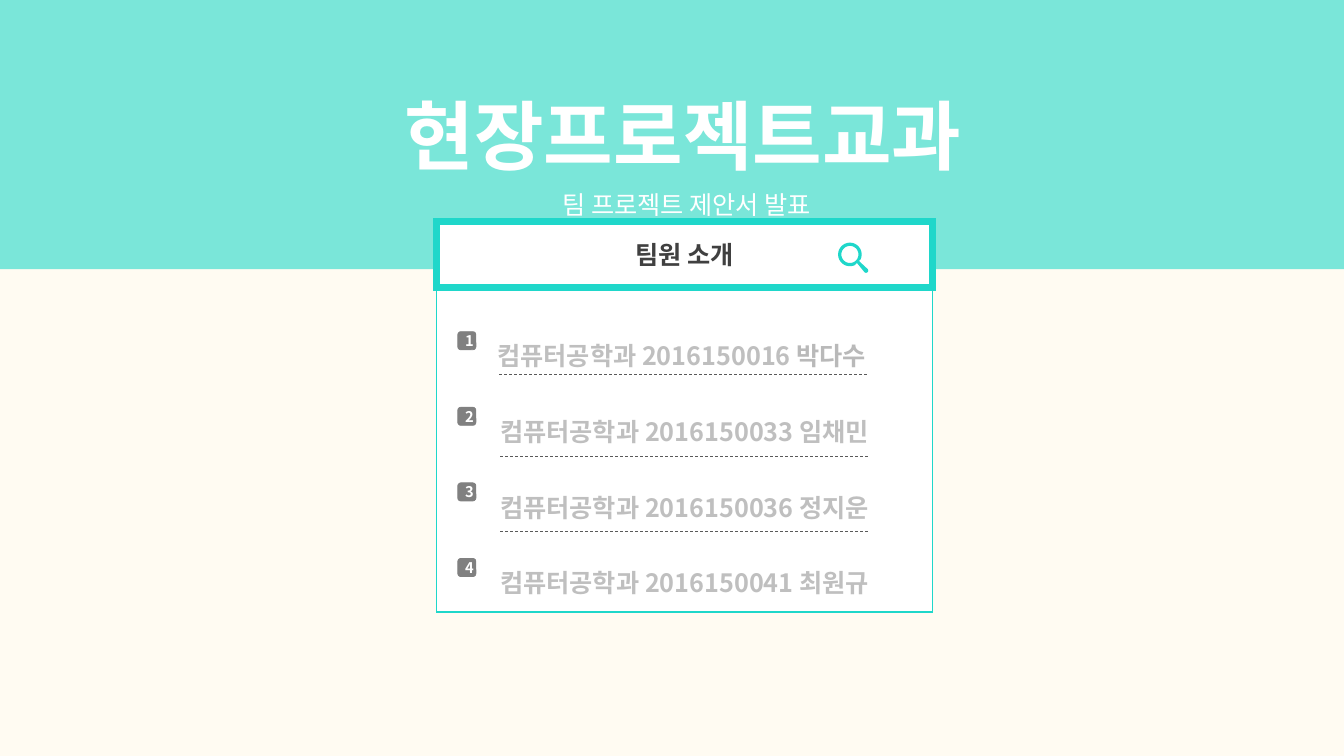
"""Build the cover slide that introduces the project team."""
from dataclasses import dataclass
from math import cos, radians, sin

from pptx import Presentation
from pptx import util as u
from pptx.dml.color import RGBColor
from pptx.enum import dml, shapes, text
from pptx.oxml import ns, xmlchemy

FACE = "Noto Sans CJK KR"
CREAM = RGBColor(0xFF, 0xFB, 0xF2)
MINT = RGBColor(0x7A, 0xE6, 0xD9)
TEAL = RGBColor(0x1F, 0xD7, 0xCA)
WHITE = RGBColor(0xFF, 0xFF, 0xFF)
DARK = RGBColor(0x40, 0x40, 0x40)
SLATE = RGBColor(0x59, 0x59, 0x59)
GRAY = RGBColor(0x80, 0x80, 0x80)
PALE = RGBColor(0xBF, 0xBF, 0xBF)
DIM = RGBColor(0xB9, 0xB9, 0xB9)
RECT = shapes.MSO_SHAPE.RECTANGLE
ROUND = shapes.MSO_SHAPE.ROUNDED_RECTANGLE


@dataclass(frozen=True)
class Run:
    words: str
    size: float
    color: RGBColor
    bold: bool = True


@dataclass(frozen=True)
class Box:
    kind: shapes.MSO_SHAPE
    left: float
    top: float
    width: float
    height: float
    fill: RGBColor
    line: RGBColor
    weight: float


@dataclass(frozen=True)
class Rule:
    left: float
    right: float
    top: float


PANEL = Box(RECT, 4.33, 2.88, 4.92, 3.19, WHITE, TEAL, 1)
SEARCH = Box(RECT, 4.33, 2.2, 4.92, 0.65, WHITE, TEAL, 4.75)
BADGES = [Box(ROUND, 4.54, 3.29 + 0.75 * i, 0.18, 0.18, GRAY, GRAY, 0.5)
          for i in range(4)]
RULES = [Rule(4.95, 8.62, 3.71), Rule(4.96, 8.62, 4.53), Rule(4.96, 8.62, 5.27)]
TEAM = [
    [Run("컴퓨터공학과 2016150016 ", 18, PALE), Run("박다수 ", 18, DIM)],
    [Run("컴퓨터공학과 2016150033 임채민", 18, PALE)],
    [Run("컴퓨터공학과 2016150036 정지운", 18, PALE)],
    [Run("컴퓨터공학과 2016150041 최원규", 18, PALE)],
]


def write(frame, lines: list[list[Run]], anchor, space: float = 1) -> None:
    """Fill a text frame with centred paragraphs, run by run."""
    frame.vertical_anchor = anchor
    for i, line in enumerate(lines):
        para = frame.add_paragraph() if i else frame.paragraphs[0]
        para.alignment = text.PP_ALIGN.CENTER
        para.line_spacing = float(space)
        for item in line:
            run = para.add_run()
            run.text = item.words
            font = run.font
            font.size, font.bold = u.Pt(item.size), item.bold
            font.color.rgb = item.color
            font.name = FACE
            asian = xmlchemy.OxmlElement("a:ea")
            asian.set("typeface", FACE)
            run._r.get_or_add_rPr().find(ns.qn("a:latin")).addnext(asian)


def place(slide, box: Box):
    """Draw a filled box with a sharp-cornered outline."""
    shape = slide.shapes.add_shape(
        box.kind, u.Inches(box.left), u.Inches(box.top),
        u.Inches(box.width), u.Inches(box.height))
    shape.shadow.inherit = False
    shape.fill.solid()
    shape.fill.fore_color.rgb = box.fill
    shape.line.color.rgb = box.line
    shape.line.width = u.Pt(box.weight)
    miter = xmlchemy.OxmlElement("a:miter")
    miter.set("lim", "800000")
    shape.line._ln.append(miter)
    return shape


def title(slide) -> None:
    """Turn the title placeholder into the coloured top band."""
    band = slide.shapes.title
    band.left, band.top = u.Inches(0), u.Inches(0)
    band.width, band.height = u.Inches(13.33), u.Inches(2.67)
    band.fill.solid()
    band.fill.fore_color.rgb = MINT
    frame = band.text_frame
    frame.auto_size = text.MSO_AUTO_SIZE.NONE
    frame.margin_left = u.Inches(0.32)
    write(frame, [[Run("현장프로젝트교과", 54, WHITE)]], text.MSO_ANCHOR.MIDDLE)


def arc(x: float, y: float, size: float, start: int, stop: int,
        step: int) -> list[tuple[float, float]]:
    """List the points of an arc, with angles in degrees."""
    return [(x + size * cos(radians(a)), y + size * sin(radians(a)))
            for a in range(start, stop + step, step)]


def lens(slide) -> None:
    """Draw the magnifying glass."""
    rim = arc(8.43, 2.525, 0.117, 65, 385, 10)
    tip = arc(8.59, 2.685, 0.022, -45, 135, 15)
    outer = [*rim, (8.52, 2.59), *tip, (8.5, 2.61)]
    inner = arc(8.43, 2.525, 0.085, 360, 0, -10)
    rings = [[(u.Inches(x), u.Inches(y)) for x, y in ring]
             for ring in (outer, inner)]
    pen = slide.shapes.build_freeform(*rings[0][0])
    for ring in rings:
        pen.move_to(*ring[0])
        pen.add_line_segments(ring[1:], close=True)
    glass = pen.convert_to_shape()
    glass.shadow.inherit = False
    glass.fill.solid()
    glass.fill.fore_color.rgb = TEAL
    glass.line.fill.background()


def dash(slide, rule: Rule) -> None:
    """Draw a dashed line under a member."""
    line = slide.shapes.add_connector(
        shapes.MSO_CONNECTOR.STRAIGHT, u.Inches(rule.left), u.Inches(rule.top),
        u.Inches(rule.right), u.Inches(rule.top))
    line.line.color.rgb = SLATE
    line.line.width = u.Pt(0.5)
    line.line.dash_style = dml.MSO_LINE.DASH
    line._element.spPr.append(xmlchemy.OxmlElement("a:effectLst"))


def note(slide) -> None:
    """Add the subtitle below the title."""
    box = slide.shapes.add_textbox(
        u.Inches(5.16), u.Inches(1.53), u.Inches(3.17), u.Inches(0.61))
    frame = box.text_frame
    frame.word_wrap = False
    frame.auto_size = text.MSO_AUTO_SIZE.SHAPE_TO_FIT_TEXT
    frame.margin_left = u.Inches(0.23)
    write(frame, [[Run("팀 프로젝트 제안서 발표", 18, WHITE, False)]],
          text.MSO_ANCHOR.TOP, 2)


def main() -> None:
    """Build and save the slide."""
    deck = Presentation()
    deck.slide_width, deck.slide_height = u.Inches(13.33), u.Inches(7.5)
    slide = deck.slides.add_slide(deck.slide_layouts[5])
    slide.background.fill.solid()
    slide.background.fill.fore_color.rgb = CREAM
    title(slide)
    write(place(slide, PANEL).text_frame, TEAM, text.MSO_ANCHOR.TOP, 2.5)
    write(place(slide, SEARCH).text_frame, [[Run("팀원 소개", 18, DARK)]],
          text.MSO_ANCHOR.MIDDLE)
    lens(slide)
    for i, badge in enumerate(BADGES, 1):
        write(place(slide, badge).text_frame, [[Run(str(i), 10.5, WHITE)]],
              text.MSO_ANCHOR.MIDDLE)
    for rule in RULES:
        dash(slide, rule)
    note(slide)
    deck.save("out.pptx")


if __name__ == "__main__":
    main()
